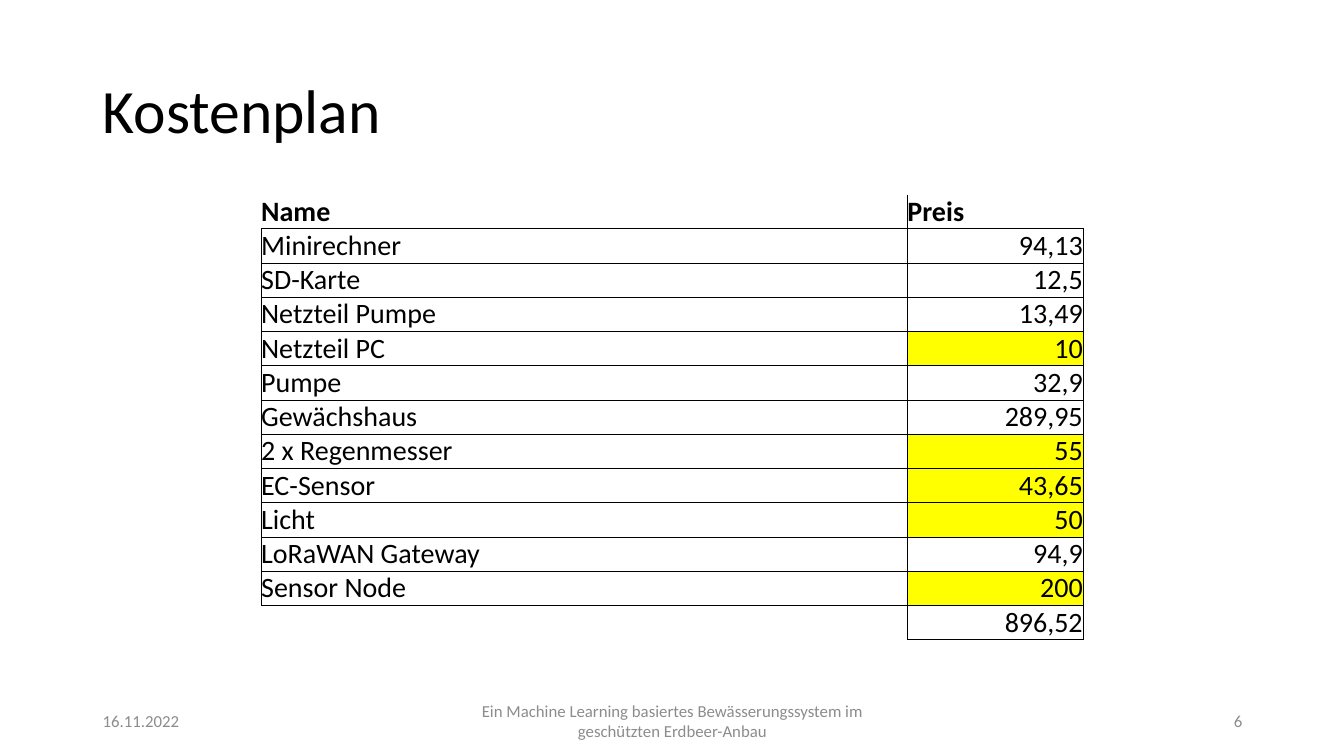
from dataclasses import dataclass

from lxml.etree import SubElement
from pptx import Presentation
from pptx.dml.color import RGBColor
from pptx.enum.text import MSO_ANCHOR as Anchor, PP_ALIGN as Align
from pptx.oxml.ns import qn
from pptx.slide import Slide
from pptx.table import _Cell as Cell
from pptx.text.text import _Paragraph as Paragraph
from pptx.util import Inches, Pt

COLORS = {"text": "000000", "footer": "8C8C8C", "open": "FFFF00", "paper": "FFFFFF"}
FONT = "Calibri"
ROW_HEIGHT = 0.34
COLUMN_WIDTHS = (6.41, 1.74)
ALL_SIDES = "LRTB"


@dataclass
class Label:
    text: str
    left: float
    top: float
    width: float
    height: float
    size: float = 12
    color: str = "footer"
    align: Align = Align.LEFT
    line_spacing: float = 1.0


@dataclass
class CostRow:
    name: str
    price: str
    highlighted: bool = False
    header: bool = False
    name_sides: str = ALL_SIDES
    price_sides: str = ALL_SIDES


LABELS = [
    Label("Kostenplan", 0.92, 0.4, 11.5, 1.45, 44, "text", line_spacing=0.9),
    Label("16.11.2022", 0.92, 6.95, 3, 0.4),
    Label("Ein Machine Learning basiertes Bewässerungssystem im geschützten Erdbeer-Anbau",
          4.42, 6.95, 4.5, 0.4, align=Align.CENTER),
    Label("6", 9.42, 6.95, 3, 0.4, align=Align.RIGHT),
]

COST_ROWS = [
    CostRow("Name", "Preis", header=True, name_sides="RB", price_sides="LB"),
    CostRow("Minirechner", "94,13"),
    CostRow("SD-Karte", "12,5"),
    CostRow("Netzteil Pumpe", "13,49"),
    CostRow("Netzteil PC", "10", highlighted=True),
    CostRow("Pumpe", "32,9"),
    CostRow("Gewächshaus", "289,95"),
    CostRow("2 x Regenmesser", "55", highlighted=True),
    CostRow("EC-Sensor", "43,65", highlighted=True),
    CostRow("Licht", "50", highlighted=True),
    CostRow("LoRaWAN Gateway", "94,9"),
    CostRow("Sensor Node", "200", highlighted=True),
    CostRow("", "896,52", name_sides="RT"),
]


def format_paragraph(paragraph: Paragraph, size: float, color: str, align: Align,
                     bold: bool = False) -> None:
    paragraph.alignment = align
    font = paragraph.font
    font.name, font.size, font.bold = FONT, Pt(size), bold
    font.color.rgb = RGBColor.from_string(COLORS[color])


def add_label(slide: Slide, label: Label) -> None:
    box = slide.shapes.add_textbox(Inches(label.left), Inches(label.top),
                                   Inches(label.width), Inches(label.height))
    frame = box.text_frame
    frame.word_wrap = True
    frame.vertical_anchor = Anchor.MIDDLE
    frame.text = label.text
    paragraph = frame.paragraphs[0]
    paragraph.line_spacing = label.line_spacing
    format_paragraph(paragraph, label.size, label.color, label.align)


def set_borders(cell: Cell, sides: str) -> None:
    properties = cell._tc.get_or_add_tcPr()
    for side in ALL_SIDES:
        line = SubElement(properties, qn(f"a:ln{side}"), w=str(Pt(0.5)))
        if side in sides:
            fill = SubElement(line, qn("a:solidFill"))
            SubElement(fill, qn("a:srgbClr"), val=COLORS["text"])
        else:
            SubElement(line, qn("a:noFill"))


def fill_cell(cell: Cell, text: str, sides: str, color: str, align: Align, bold: bool) -> None:
    cell.margin_left = cell.margin_right = cell.margin_top = cell.margin_bottom = 0
    cell.vertical_anchor = Anchor.BOTTOM
    cell.text = text
    format_paragraph(cell.text_frame.paragraphs[0], 20, "text", align, bold)
    # Border lines must come before the fill
    set_borders(cell, sides)
    cell.fill.solid()
    cell.fill.fore_color.rgb = RGBColor.from_string(COLORS[color])


def add_cost_table(slide: Slide, rows: list[CostRow]) -> None:
    table = slide.shapes.add_table(
        len(rows), len(COLUMN_WIDTHS), Inches(2.59), Inches(1.93),
        Inches(sum(COLUMN_WIDTHS)), Inches(ROW_HEIGHT * len(rows))).table
    table.first_row = table.horz_banding = False
    for column, width in zip(table.columns, COLUMN_WIDTHS):
        column.width = Inches(width)
    for index, row in enumerate(rows):
        table.rows[index].height = Inches(ROW_HEIGHT)
        price_align = Align.LEFT if row.header else Align.RIGHT
        price_color = "open" if row.highlighted else "paper"
        fill_cell(table.cell(index, 0), row.name, row.name_sides, "paper",
                  Align.LEFT, row.header)
        fill_cell(table.cell(index, 1), row.price, row.price_sides, price_color,
                  price_align, row.header)


def main() -> None:
    presentation = Presentation()
    presentation.slide_width, presentation.slide_height = Inches(13.33), Inches(7.5)
    slide = presentation.slides.add_slide(presentation.slide_layouts[6])
    # Title and footer
    for label in LABELS:
        add_label(slide, label)
    # Cost table
    add_cost_table(slide, COST_ROWS)
    presentation.save("out.pptx")


if __name__ == "__main__":
    main()
